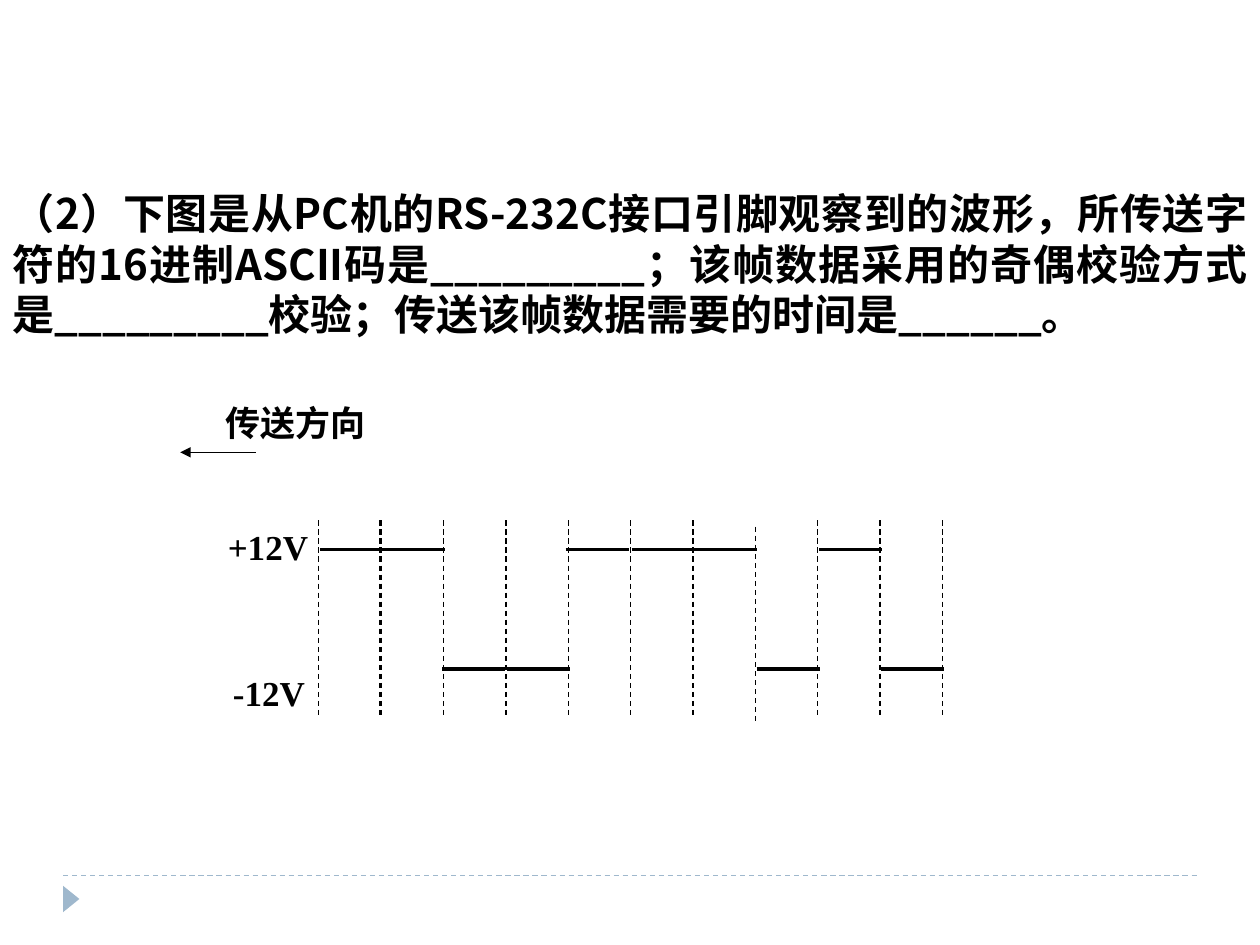
from dataclasses import dataclass

from lxml import etree
from pptx import Presentation
from pptx import util as u
from pptx.dml.color import RGBColor
from pptx.enum import dml, shapes, text
from pptx.oxml.ns import qn


@dataclass(frozen=True)
class Theme:
    ink: str = "000000"
    accent: str = "9FB8CD"
    chinese: str = "Noto Sans CJK JP"
    latin: str = "Times New Roman"
    question_size: int = 24
    label_size: int = 20
    thin: float = 0.75
    thick: float = 2
    line_height: float = 1.2


class SlideBuilder:
    def __init__(self, slide, theme):
        self.slide = slide
        self.theme = theme

    def set_text(self, shape, words, font, size):
        """Fill a shape with bold justified text."""
        frame = shape.text_frame
        frame.word_wrap = True
        frame.auto_size = text.MSO_AUTO_SIZE.NONE
        frame.vertical_anchor = text.MSO_ANCHOR.TOP
        frame.margin_top = u.Inches(0.07)
        frame.text = words
        paragraph = frame.paragraphs[0]
        paragraph.alignment = text.PP_ALIGN.JUSTIFY
        paragraph.line_spacing = u.Pt(size * self.theme.line_height)
        paragraph.space_before = u.Pt(0)
        run = paragraph.runs[0]
        run.font.name = font
        run.font.size = u.Pt(size)
        run.font.bold = True
        run.font.color.rgb = RGBColor.from_string(self.theme.ink)
        east_asian = etree.SubElement(run._r.get_or_add_rPr(), qn("a:ea"))
        east_asian.set("typeface", font)
        return paragraph

    def question(self, words, left, top, width, height):
        """Put unbulleted text in the body placeholder."""
        body = self.slide.placeholders[1]
        body.left, body.top = u.Inches(left), u.Inches(top)
        body.width, body.height = u.Inches(width), u.Inches(height)
        paragraph = self.set_text(body, words, self.theme.chinese, self.theme.question_size)
        properties = paragraph._p.get_or_add_pPr()
        properties.set("marL", "0")
        properties.set("indent", "0")
        etree.SubElement(properties, qn("a:buNone"))

    def label(self, words, font, left, top, width, height):
        box = self.slide.shapes.add_textbox(
            u.Inches(left), u.Inches(top), u.Inches(width), u.Inches(height))
        self.set_text(box, words, font, self.theme.label_size)

    def line(self, x1, y1, x2, y2, color=None, width=None, dashed=False, arrow=False):
        connector = self.slide.shapes.add_connector(
            shapes.MSO_CONNECTOR.STRAIGHT,
            u.Inches(x1), u.Inches(y1), u.Inches(x2), u.Inches(y2))
        connector.line.color.rgb = RGBColor.from_string(color or self.theme.ink)
        connector.line.width = u.Pt(width or self.theme.thin)
        if dashed:
            connector.line.dash_style = dml.MSO_LINE.DASH
        properties = connector._element.spPr
        if arrow:
            tail = etree.SubElement(properties.find(qn("a:ln")), qn("a:tailEnd"))
            tail.set("type", "triangle")
        etree.SubElement(properties, qn("a:effectLst"))

    def triangle(self, left, top, width, height, rotation):
        shape = self.slide.shapes.add_shape(
            shapes.MSO_SHAPE.ISOSCELES_TRIANGLE,
            u.Inches(left), u.Inches(top), u.Inches(width), u.Inches(height))
        shape.rotation = rotation
        shape.shadow.inherit = False
        shape.fill.solid()
        shape.fill.fore_color.rgb = RGBColor.from_string(self.theme.accent)
        shape.line.fill.background()


def draw_waveform(builder):
    start, step = 2.53, 0.495
    top, height = 4.13, 1.55
    levels = {"1": 4.36, "0": 5.31}
    bits = "1100111010"
    pulse_nudges = {2: -0.02, 4: -0.03}

    # Bit boundaries; one sits lower and two are doubled
    boundaries = [start + step * index for index in range(len(bits) + 1)]
    for index, x in enumerate(boundaries):
        y = top + (0.05 if index == 7 else 0)
        builder.line(x, y, x, y + height, dashed=True)
    for x in (3.01, 6.99):
        builder.line(x, top, x, top + height, dashed=True)

    # Signal level within each bit
    for index, bit in enumerate(bits):
        x = boundaries[index] + 0.01 + pulse_nudges.get(index, 0)
        builder.line(x, levels[bit], x + 0.5, levels[bit], width=builder.theme.thick)


def main():
    presentation = Presentation()
    presentation.slide_width, presentation.slide_height = u.Inches(10), u.Inches(7.5)
    slide = presentation.slides.add_slide(presentation.slide_layouts[1])
    title = slide.shapes.title._element
    title.getparent().remove(title)
    theme = Theme()
    builder = SlideBuilder(slide, theme)

    # Footer decoration
    builder.line(0.5, 6.95, 9.5, 6.95, color=theme.accent, dashed=True)
    builder.triangle(0.46, 7.07, 0.21, 0.13, rotation=90)

    # Question
    builder.question(
        "（2）下图是从PC机的RS-232C接口引脚观察到的波形，所传送字符的16进制ASCII码是"
        "_________；该帧数据采用的奇偶校验方式是_________校验；"
        "传送该帧数据需要的时间是______。",
        0, 1.42, 10, 1.72)

    # Direction of transmission
    builder.label("传送方向", theme.chinese, 1.69, 3.12, 2.01, 0.73)
    builder.line(2.03, 3.59, 1.43, 3.59, arrow=True)

    # Waveform and voltage labels
    builder.label("+12V", theme.latin, 1.71, 4.1, 1.06, 0.75)
    builder.label("-12V", theme.latin, 1.75, 5.26, 0.85, 0.66)
    draw_waveform(builder)

    presentation.save("out.pptx")


if __name__ == "__main__":
    main()
